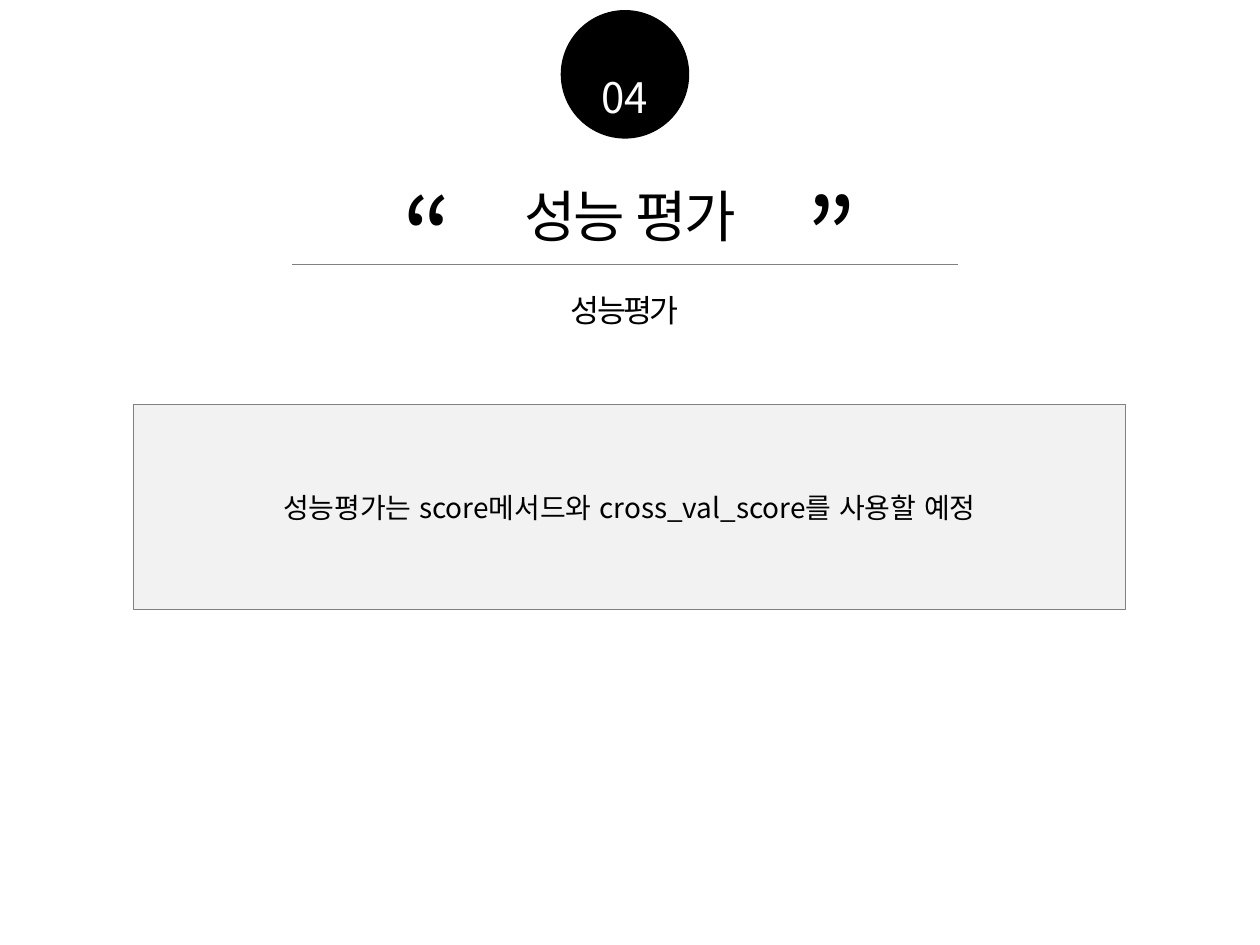
from lxml.etree import SubElement
from pptx import Presentation
from pptx.dml.color import RGBColor
from pptx.enum.shapes import MSO_CONNECTOR, MSO_SHAPE
from pptx.enum.text import MSO_ANCHOR, MSO_AUTO_SIZE, PP_ALIGN
from pptx.oxml.ns import qn
from pptx.util import Inches, Pt

FONT = "Noto Sans CJK KR"
COLORS = {"black": "000000", "white": "FFFFFF", "panel": "F2F2F2", "rule": "808080"}


def color(name):
    """Return the named palette colour."""
    return RGBColor.from_string(COLORS[name])


def write(shape, text, size, font_color="black", anchor=MSO_ANCHOR.TOP, spacing=0):
    """Fill a shape with one centred paragraph; spacing is in points."""
    frame = shape.text_frame
    frame.word_wrap = True
    frame.auto_size = MSO_AUTO_SIZE.NONE
    frame.vertical_anchor = anchor
    paragraph = frame.paragraphs[0]
    paragraph.alignment = PP_ALIGN.CENTER
    run = paragraph.add_run()
    run.text = text
    run.font.size = Pt(size)
    run.font.name = FONT
    run.font.color.rgb = color(font_color)
    properties = run.font._element
    properties.set("lang", "ko-KR")
    if spacing:
        properties.set("spc", str(int(spacing * 100)))
    SubElement(properties, qn("a:ea"), typeface=FONT)


presentation = Presentation()
presentation.slide_width = Inches(10)
presentation.slide_height = Inches(7.5)
slide = presentation.slides.add_slide(presentation.slide_layouts[5])
shapes = slide.shapes

# Section number
circle = shapes.add_shape(
    MSO_SHAPE.OVAL, Inches(4.45), Inches(0.08), Inches(1.02), Inches(1.02))
circle.shadow.inherit = False
circle.fill.solid()
circle.fill.fore_color.rgb = color("black")
circle.line.fill.background()
number = shapes.add_textbox(Inches(4.37), Inches(0.52), Inches(1.18), Inches(0.5))
write(number, "04", 24, "white")

# Title between quotation marks
title = shapes.title
title.left, title.top = Inches(2.64), Inches(1.39)
title.width, title.height = Inches(4.72), Inches(0.64)
write(title, "성능 평가", 32, spacing=-1.5)
for mark, center in (("“", 3.39), ("”", 6.6)):
    quote = shapes.add_textbox(
        Inches(center - 0.5), Inches(1.31), Inches(1), Inches(1.11))
    write(quote, mark, 60)

rule = shapes.add_connector(
    MSO_CONNECTOR.STRAIGHT, Inches(2.32), Inches(2.1), Inches(7.6), Inches(2.1))
rule.line.color.rgb = color("rule")
rule.line.width = Pt(0.75)
SubElement(rule._element.spPr, qn("a:effectLst"))

subtitle = shapes.add_textbox(Inches(1.06), Inches(2.26), Inches(7.8), Inches(0.4))
write(subtitle, "성능평가", 18, spacing=-1.5)

# Message panel
panel = shapes.add_shape(
    MSO_SHAPE.RECTANGLE, Inches(1.06), Inches(3.21), Inches(7.87), Inches(1.63))
panel.shadow.inherit = False
panel.fill.solid()
panel.fill.fore_color.rgb = color("panel")
panel.line.color.rgb = color("rule")
panel.line.width = Pt(0.25)
write(panel, "성능평가는 score메서드와 cross_val_score를 사용할 예정", 16,
      anchor=MSO_ANCHOR.MIDDLE)

presentation.save("out.pptx")
